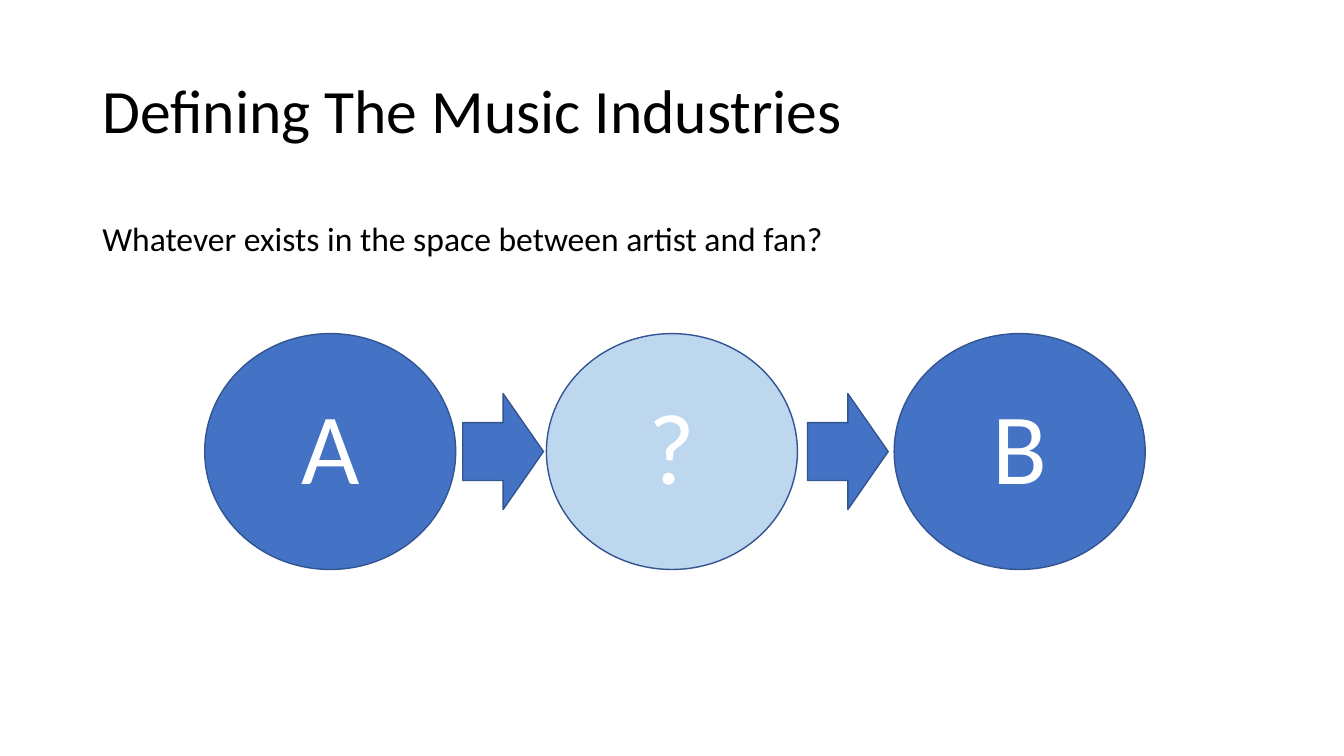
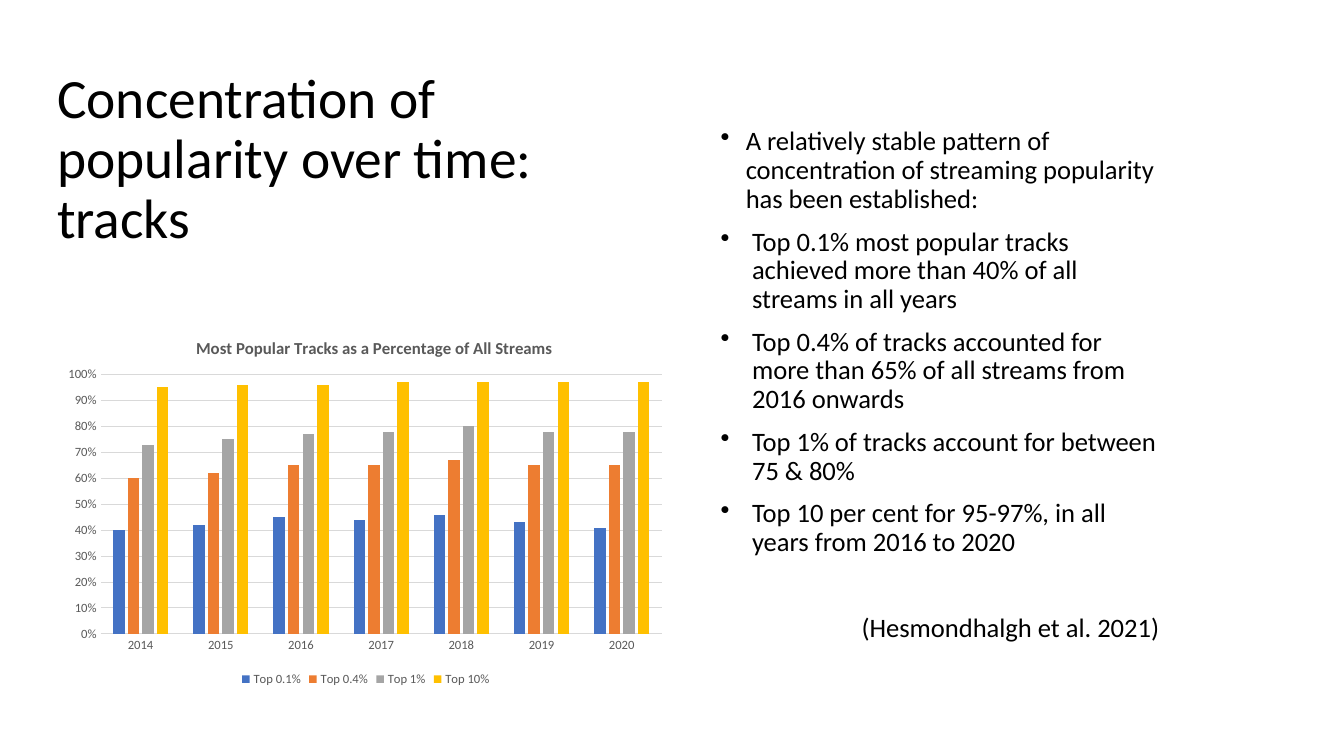
import pptx
import pptx.util
import pptx.chart.data
import pptx.dml.color
import pptx.enum.chart
import pptx.enum.shapes
import pptx.enum.text
import pptx.oxml
import pptx.oxml.ns
from pptx.util import Pt

FONT = "Calibri"
COLORS = {
    "text": "000000", "white": "FFFFFF", "muted": "595959", "grid": "D9D9D9",
    "blue": "4472C4", "pale": "BDD7EE", "outline": "325491",
    "orange": "ED7D31", "gray": "A5A5A5", "gold": "FFC000",
}
ALIGN = pptx.enum.text.PP_ALIGN
ANCHOR = pptx.enum.text.MSO_ANCHOR
SHAPE = pptx.enum.shapes.MSO_SHAPE
CHART = pptx.enum.chart


def rgb(name):
    return pptx.dml.color.RGBColor.from_string(COLORS[name])


def style_font(font, size, color):
    font.name, font.size = FONT, Pt(size)
    font.color.rgb = rgb(color)


def write(frame, text, size=19, color="text", align=ALIGN.LEFT, spacing=0.9,
          before=0, indent=0, new=False):
    """Write one paragraph; a positive indent makes it a bullet."""
    para = frame.add_paragraph() if new else frame.paragraphs[0]
    if indent:
        properties = para._p.get_or_add_pPr()
        properties.set("marL", str(Pt(indent)))
        properties.set("indent", str(-Pt(indent)))
        bullet = pptx.oxml.parse_xml(
            f'<a:buChar {pptx.oxml.ns.nsdecls("a")} char="•"/>')
        properties.append(bullet)
    para.alignment, para.line_spacing = align, spacing
    para.space_before = Pt(before)
    span = para.add_run()
    span.text = text
    style_font(span.font, size, color)


def add_box(page, box, anchor=ANCHOR.TOP):
    frame = page.shapes.add_textbox(*map(Pt, box)).text_frame
    frame.word_wrap = True
    frame.vertical_anchor = anchor
    return frame


def add_title(page, text, box, size, anchor=ANCHOR.TOP):
    write(add_box(page, box, anchor), text, size=size)


def add_figure(page, kind, box, fill, label=""):
    figure = page.shapes.add_shape(kind, *map(Pt, box))
    figure.shadow.inherit = False
    figure.fill.solid()
    figure.fill.fore_color.rgb = rgb(fill)
    figure.line.color.rgb = rgb("outline")
    figure.line.width = Pt(1)
    if label:
        figure.text_frame.vertical_anchor = ANCHOR.MIDDLE
        write(figure.text_frame, label, size=72, color="white", align=ALIGN.CENTER)


def add_flow(page, box):
    """Three circles with an arrow centred in each gap."""
    left, top, width, height = box
    circle_width, arrow_width, arrow_height = 179.3, 57.6, 82.8
    nudge = 1.5
    starts = [left, left + 244.1, left + width - circle_width]
    for start, label, fill in zip(starts, "A?B", ("blue", "pale", "blue")):
        add_figure(page, SHAPE.OVAL, (start, top, circle_width, height), fill, label)
    for before, after in zip(starts, starts[1:]):
        middle = (before + circle_width + after) / 2 + nudge
        add_figure(page, SHAPE.RIGHT_ARROW,
                   (middle - arrow_width / 2, top + (height - arrow_height) / 2,
                    arrow_width, arrow_height), "blue")


def set_layout(element, index, inner=False, **fractions):
    """Place a chart part by fractions of the chart area."""
    for old in element.findall(pptx.oxml.ns.qn("c:layout")):
        element.remove(old)
    target = '<c:layoutTarget val="inner"/>' if inner else ""
    modes = '<c:xMode val="edge"/><c:yMode val="edge"/>'
    values = "".join(f'<c:{key} val="{value}"/>' for key, value in fractions.items())
    element.insert(index, pptx.oxml.parse_xml(
        f'<c:layout {pptx.oxml.ns.nsdecls("c")}><c:manualLayout>'
        f'{target}{modes}{values}</c:manualLayout></c:layout>'))


def add_tracks_chart(page, box):
    series = [
        ("Top 0.1%", "blue", (0.4, 0.42, 0.45, 0.44, 0.46, 0.43, 0.41)),
        ("Top 0.4%", "orange", (0.6, 0.62, 0.65, 0.65, 0.67, 0.65, 0.65)),
        ("Top 1%", "gray", (0.73, 0.75, 0.77, 0.78, 0.8, 0.78, 0.78)),
        ("Top 10%", "gold", (0.95, 0.96, 0.96, 0.97, 0.97, 0.97, 0.97)),
    ]
    data = pptx.chart.data.CategoryChartData(number_format="0%")
    data.categories = [str(year) for year in range(2014, 2021)]
    for name, _, values in series:
        data.add_series(name, values)
    chart = page.shapes.add_chart(
        CHART.XL_CHART_TYPE.COLUMN_CLUSTERED, *map(Pt, box), data).chart
    style_font(chart.font, 10, "text")

    # Title and legend
    chart.has_title = True
    title = chart.chart_title
    write(title.text_frame, "Most Popular Tracks as a Percentage of All Streams",
          size=12, color="muted", align=ALIGN.CENTER, spacing=1.0)
    title.include_in_layout = False
    chart.has_legend = True
    chart.legend.position = CHART.XL_LEGEND_POSITION.BOTTOM
    chart.legend.include_in_layout = False
    style_font(chart.legend.font, 9, "muted")

    # Columns
    plot = chart.plots[0]
    plot.gap_width, plot.overlap = 219, -27
    plot.vary_by_categories = False
    for columns, (_, color, _) in zip(plot.series, series):
        columns.format.fill.solid()
        columns.format.fill.fore_color.rgb = rgb(color)

    # Axes
    for axis in (chart.category_axis, chart.value_axis):
        axis.major_tick_mark = axis.minor_tick_mark = CHART.XL_TICK_MARK.NONE
        style_font(axis.tick_labels.font, 9, "muted")
    values_axis = chart.value_axis
    values_axis.minimum_scale, values_axis.maximum_scale = 0, 1
    values_axis.major_unit = 0.1
    values_axis.tick_labels.number_format = "0%"
    values_axis.tick_labels.number_format_is_linked = False
    values_axis.format.line.fill.background()
    for line in (chart.category_axis.format.line,
                 values_axis.major_gridlines.format.line):
        line.color.rgb = rgb("grid")
        line.width = Pt(0.75)

    # Placement inside the chart area
    set_layout(title._element, 1, x=0.22, y=0.05)
    plot_area = chart._chartSpace.chart.plotArea
    set_layout(plot_area, 0, inner=True, x=0.07, y=0.16, w=0.91, h=0.69)


def add_findings(page, box):
    frame = add_box(page, box)
    findings = [
        "A relatively stable pattern of concentration of streaming popularity "
        "has been established:",
        "Top 0.1% most popular tracks achieved more than 40% of all streams in all years",
        "Top 0.4% of tracks accounted for more than 65% of all streams from 2016 onwards",
        "Top 1% of tracks account for between 75 & 80%",
        "Top 10 per cent for 95-97%, in all years from 2016 to 2020",
    ]
    for number, finding in enumerate(findings):
        write(frame, finding, before=10 if number else 0,
              indent=22.5 if number else 18, new=number > 0)
    write(frame, "(Hesmondhalgh et al. 2021)", align=ALIGN.RIGHT, before=41, new=True)


def build_definition(page):
    add_title(page, "Defining The Music Industries", (66, 28.8, 828, 104.4), 44,
              ANCHOR.MIDDLE)
    write(add_box(page, (66, 152, 548, 36)),
          "Whatever exists in the space between artist and fan?", size=24, spacing=1.0)
    add_flow(page, (146.2, 238.3, 671.8, 168.5))


def build_concentration(page):
    add_title(page, "Concentration of popularity over time: tracks",
              (33.8, 46.8, 434, 144.7), 39.6)
    add_findings(page, (507.6, 87.8, 327.6, 405.4))
    add_tracks_chart(page, (41, 224.6, 440.6, 268.6))


def main():
    deck = pptx.Presentation()
    deck.slide_width, deck.slide_height = Pt(960), Pt(540)
    for build in (build_definition, build_concentration):
        build(deck.slides.add_slide(deck.slide_layouts[6]))
    deck.save("out.pptx")


if __name__ == "__main__":
    main()
